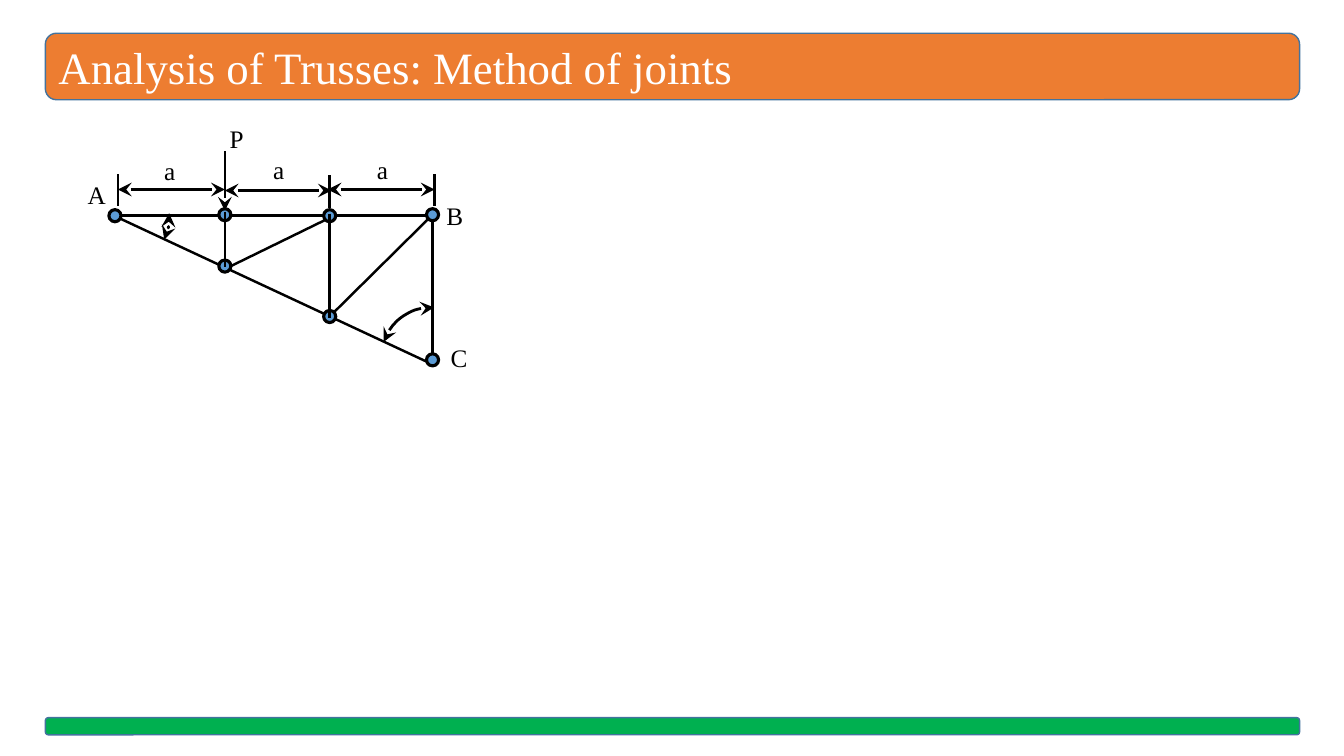
from dataclasses import dataclass

from lxml.etree import SubElement
from pptx import Presentation
from pptx.dml.color import RGBColor
from pptx.enum.shapes import MSO_CONNECTOR, MSO_SHAPE
from pptx.enum.text import MSO_ANCHOR, MSO_AUTO_SIZE, PP_ALIGN
from pptx.oxml.ns import qn
from pptx.shapes.autoshape import Shape
from pptx.shapes.base import BaseShape
from pptx.shapes.connector import Connector
from pptx.slide import Slide
from pptx.util import Inches, Pt


@dataclass(frozen=True)
class Theme:
    title_fill: RGBColor = RGBColor(0xED, 0x7D, 0x31)
    footer_fill: RGBColor = RGBColor(0x00, 0xB0, 0x50)
    bar_outline: RGBColor = RGBColor(0x43, 0x73, 0x9E)
    joint_fill: RGBColor = RGBColor(0x5B, 0x9B, 0xD5)
    white: RGBColor = RGBColor(0xFF, 0xFF, 0xFF)
    ink: RGBColor = RGBColor(0x00, 0x00, 0x00)
    font: str = "Times New Roman"
    title_size: float = 32
    label_size: float = 18
    bar_width: float = 1
    line_width: float = 1.75
    angle_width: float = 2
    joint_width: float = 2.25


@dataclass(frozen=True)
class Segment:
    x1: float
    y1: float
    x2: float
    y2: float
    head: bool = False
    tail: bool = False


@dataclass(frozen=True)
class Joint:
    left: float
    top: float


@dataclass(frozen=True)
class Angle:
    left: float
    top: float
    start: float
    end: float


@dataclass(frozen=True)
class Label:
    text: str
    left: float
    top: float
    width: float


THEME = Theme()
JOINT_SIZE = 0.12

CHORDS = [
    Segment(1.13, 2.14, 4.3, 3.62),
    Segment(1.14, 2.14, 4.29, 2.14),
    Segment(4.29, 2.14, 4.29, 3.63),
]
JOINTS = [
    Joint(4.23, 3.51),
    Joint(1.08, 2.08),
    Joint(2.17, 2.07),
    Joint(3.21, 2.08),
    Joint(2.17, 2.58),
    Joint(3.21, 3.08),
]
WEB_MEMBERS = [
    Segment(3.27, 2.12, 3.27, 3.15),
    Segment(2.23, 2.1, 2.23, 2.65),
    Segment(3.23, 2.18, 2.29, 2.64),
]
JOINT_B = Joint(4.23, 2.07)
DIAGONAL_AND_DIMENSIONS = [
    Segment(4.25, 2.17, 3.31, 3.1),
    Segment(2.23, 1.5, 2.23, 2.09, tail=True),
    Segment(1.17, 1.73, 1.17, 2.04),
    Segment(3.27, 1.74, 3.27, 2.06),
    Segment(4.31, 1.73, 4.31, 2.04),
    Segment(1.17, 1.88, 2.23, 1.88, head=True, tail=True),
    Segment(2.23, 1.89, 3.29, 1.89, head=True, tail=True),
    Segment(3.25, 1.88, 4.31, 1.88, head=True, tail=True),
]
ANGLES = [Angle(0.68, 1.66, 212.95, 15.59), Angle(3.78, 3.05, 119, 163.78)]
LABELS = [
    Label("a", 1.53, 1.49, 0.31),
    Label("a", 2.61, 1.48, 0.31),
    Label("a", 3.64, 1.48, 0.31),
    Label("A", 0.77, 1.73, 0.38),
    Label("B", 4.33, 1.94, 0.38),
    Label("C", 4.37, 3.35, 0.38),
    Label("P", 2.18, 1.17, 0.34),
]


def write_text(shape: Shape, text: str, *, size: float, color: RGBColor) -> None:
    paragraph = shape.text_frame.paragraphs[0]
    paragraph.alignment = PP_ALIGN.LEFT
    run = paragraph.add_run()
    run.text = text
    run.font.name = THEME.font
    run.font.size = Pt(size)
    run.font.color.rgb = color


def add_arrowheads(shape: BaseShape, *, head: bool, tail: bool) -> None:
    outline = shape.element.spPr.find(qn("a:ln"))
    for tag, wanted in (("a:headEnd", head), ("a:tailEnd", tail)):
        if wanted:
            SubElement(outline, qn(tag), type="stealth", w="lg", len="lg")


def set_outline(shape: Shape | Connector, color: RGBColor, width: float) -> None:
    shape.line.color.rgb = color
    shape.line.width = Pt(width)


def add_bar(slide: Slide, top: float, height: float, fill: RGBColor) -> Shape:
    bar = slide.shapes.add_shape(
        MSO_SHAPE.ROUNDED_RECTANGLE, Inches(0.45), Inches(top), Inches(12.44), Inches(height)
    )
    bar.shadow.inherit = False
    bar.fill.solid()
    bar.fill.fore_color.rgb = fill
    set_outline(bar, THEME.bar_outline, THEME.bar_width)
    bar.text_frame.vertical_anchor = MSO_ANCHOR.MIDDLE
    return bar


def add_segment(slide: Slide, segment: Segment) -> None:
    connector = slide.shapes.add_connector(
        MSO_CONNECTOR.STRAIGHT,
        Inches(segment.x1), Inches(segment.y1), Inches(segment.x2), Inches(segment.y2),
    )
    set_outline(connector, THEME.ink, THEME.line_width)
    add_arrowheads(connector, head=segment.head, tail=segment.tail)
    SubElement(connector.element.spPr, qn("a:effectLst"))


def add_joint(slide: Slide, joint: Joint) -> None:
    circle = slide.shapes.add_shape(
        MSO_SHAPE.OVAL, Inches(joint.left), Inches(joint.top), Inches(JOINT_SIZE), Inches(JOINT_SIZE)
    )
    circle.shadow.inherit = False
    circle.fill.solid()
    circle.fill.fore_color.rgb = THEME.joint_fill
    set_outline(circle, THEME.ink, THEME.joint_width)


def add_angle(slide: Slide, angle: Angle) -> None:
    arc = slide.shapes.add_shape(
        MSO_SHAPE.ARC, Inches(angle.left), Inches(angle.top), Inches(1), Inches(1)
    )
    arc.shadow.inherit = False
    arc.fill.background()
    arc.adjustments[0] = angle.start
    arc.adjustments[1] = angle.end
    set_outline(arc, THEME.ink, THEME.angle_width)
    add_arrowheads(arc, head=True, tail=True)


def add_label(slide: Slide, label: Label) -> None:
    box = slide.shapes.add_textbox(
        Inches(label.left), Inches(label.top), Inches(label.width), Inches(0.4)
    )
    box.text_frame.word_wrap = False
    box.text_frame.auto_size = MSO_AUTO_SIZE.SHAPE_TO_FIT_TEXT
    write_text(box, label.text, size=THEME.label_size, color=THEME.ink)


def main() -> None:
    presentation = Presentation()
    presentation.slide_width = Inches(13.33)
    presentation.slide_height = Inches(7.5)
    slide = presentation.slides.add_slide(presentation.slide_layouts[6])

    title = add_bar(slide, 0.33, 0.66, THEME.title_fill)
    write_text(
        title, "Analysis of Trusses: Method of joints", size=THEME.title_size, color=THEME.white
    )
    add_bar(slide, 7.12, 0.17, THEME.footer_fill)

    for chord in CHORDS:
        add_segment(slide, chord)
    for joint in JOINTS:
        add_joint(slide, joint)
    for member in WEB_MEMBERS:
        add_segment(slide, member)
    add_joint(slide, JOINT_B)
    for segment in DIAGONAL_AND_DIMENSIONS:
        add_segment(slide, segment)
    for angle in ANGLES:
        add_angle(slide, angle)
    for label in LABELS:
        add_label(slide, label)

    presentation.save("out.pptx")


if __name__ == "__main__":
    main()
